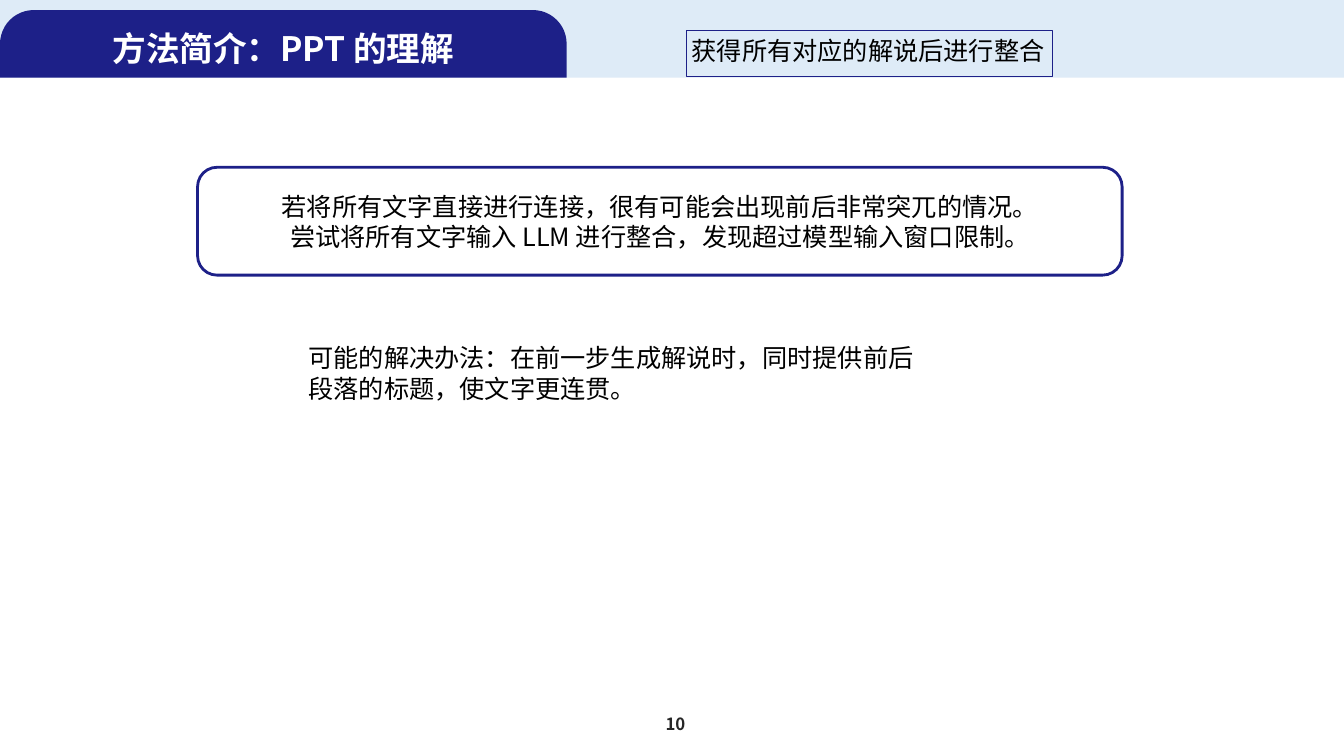
from pptx import Presentation
from pptx.util import Inches, Pt
from pptx.dml.color import RGBColor
from pptx.enum.shapes import MSO_SHAPE
from pptx.enum.text import PP_ALIGN, MSO_ANCHOR, MSO_AUTO_SIZE
from lxml.etree import SubElement
from pptx.oxml.ns import qn

THEME = {
    "font": "Noto Sans CJK SC",
    "navy": RGBColor.from_string("1D2088"),
    "pale": RGBColor.from_string("DEEBF7"),
    "white": RGBColor.from_string("FFFFFF"),
    "black": RGBColor.from_string("000000"),
    "grey": RGBColor.from_string("262626"),
    "title": Pt(24),
    "body": Pt(18),
    "number": Pt(12),
}

# Grid: ten columns and ten rows to the inch
COLS, ROWS = 133.3, 75
CELL = Inches(0.1)

prs = Presentation()
prs.slide_width, prs.slide_height = int(COLS * CELL), ROWS * CELL
s = prs.slides.add_slide(prs.slide_layouts[6])


def add_box(kind, col, row, cols, rows, fill=None, line=None, width=1):
    """Preset shape, or a text box when kind is None, placed on the grid."""
    at = [int(n * CELL) for n in (col, row, cols, rows)]
    if kind is None:
        return s.shapes.add_textbox(*at)
    sp = s.shapes.add_shape(kind, *at)
    sp.shadow.inherit = False
    if fill is None:
        sp.fill.background()
    else:
        sp.fill.solid()
        sp.fill.fore_color.rgb = THEME[fill]
    if line is None:
        sp.line.fill.background()
    else:
        sp.line.color.rgb = THEME[line]
        sp.line.width = Pt(width)
    return sp


def write(sp, text, size="body", color="black", bold=False, align=PP_ALIGN.LEFT,
          anchor=MSO_ANCHOR.TOP, wrap=True, grow=True):
    tf = sp.text_frame
    tf.text = text
    tf.word_wrap = wrap
    tf.vertical_anchor = anchor
    tf.auto_size = MSO_AUTO_SIZE.SHAPE_TO_FIT_TEXT if grow else MSO_AUTO_SIZE.NONE
    tf.margin_left = tf.margin_right = tf.margin_top = tf.margin_bottom = Inches(0.05)
    for p in tf.paragraphs:
        p.alignment = align
        for r in p.runs:
            r.font.name = THEME["font"]
            r.font.size = THEME[size]
            r.font.bold = bold
            r.font.color.rgb = THEME[color]
            # East Asian typeface
            SubElement(r.font._element, qn("a:ea")).set("typeface", THEME["font"])


# Header band with title tab
add_box(MSO_SHAPE.RECTANGLE, 0, 0, COLS, 7.7, fill="pale")
tab = add_box(MSO_SHAPE.ROUND_2_SAME_RECTANGLE, 0, 1, 56.2, 6.7, fill="navy")
tab.adjustments[0] = 0.5
write(add_box(None, 1.5, 2, 53.2, 5.6), "方法简介：PPT 的理解", "title", "white",
      bold=True, align=PP_ALIGN.CENTER, anchor=MSO_ANCHOR.MIDDLE)

# Page number
write(add_box(None, 65.5, 70.4, 3, 2.9), "10", "number", "grey", bold=True,
      align=PP_ALIGN.CENTER, anchor=MSO_ANCHOR.MIDDLE, wrap=False)

# Step label
write(add_box(MSO_SHAPE.RECTANGLE, 68.1, 3, 36.3, 4.6, line="navy"),
      "获得所有对应的解说后进行整合", wrap=False)

# Problem statement
problem = add_box(MSO_SHAPE.ROUNDED_RECTANGLE, 19.6, 16.6, 91.7, 10.7,
                  fill="white", line="navy", width=2)
problem.adjustments[0] = 0.18
write(problem,
      "若将所有文字直接进行连接，很有可能会出现前后非常突兀的情况。\n"
      "尝试将所有文字输入 LLM 进行整合，发现超过模型输入窗口限制。",
      align=PP_ALIGN.CENTER, anchor=MSO_ANCHOR.MIDDLE, grow=False)

# Possible solution
write(add_box(None, 30.1, 33.5, 62.4, 7.9),
      "可能的解决办法：在前一步生成解说时，同时提供前后段落的标题，使文字更连贯。")

prs.save("out.pptx")
